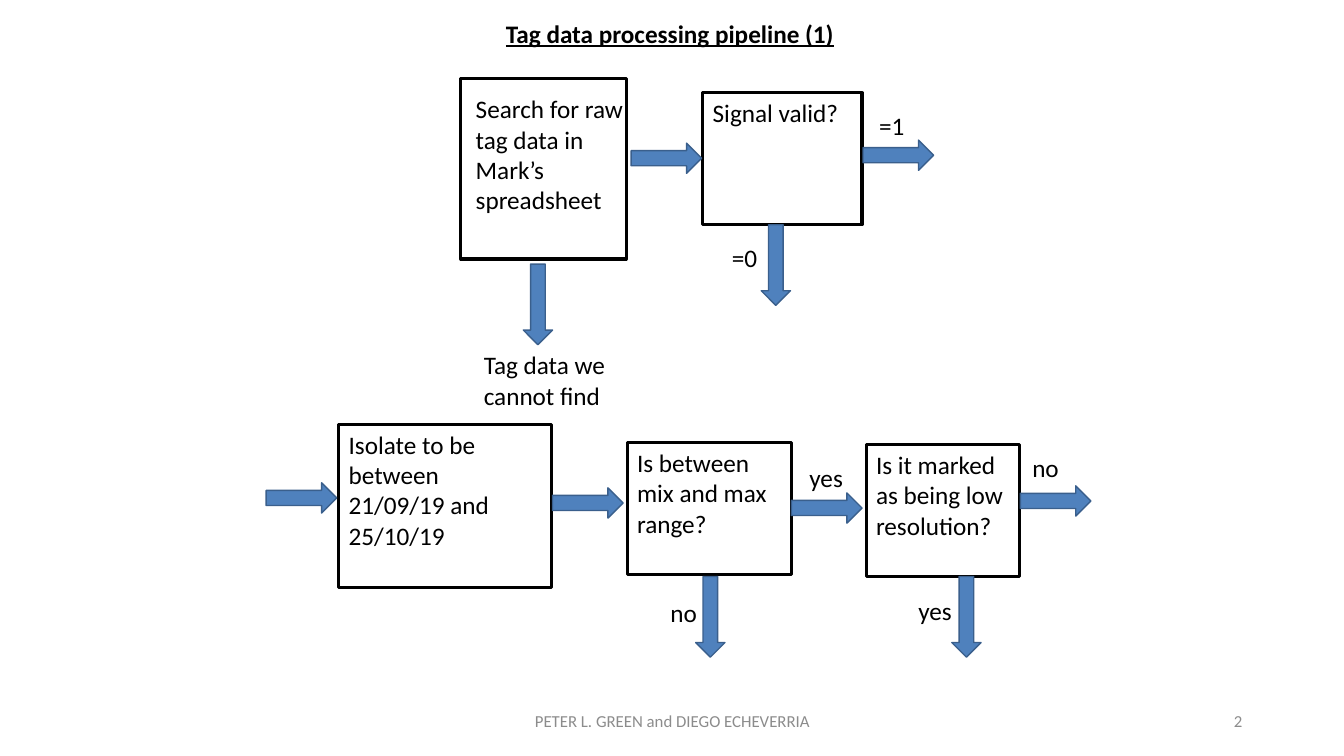
from pptx import Presentation
from pptx.dml.color import RGBColor
from pptx.enum.shapes import MSO_SHAPE
from pptx.enum.text import MSO_ANCHOR, PP_ALIGN
from pptx.util import Inches, Pt

COLORS = {"black": "000000", "arrow": "4F81BD", "arrow_line": "3A5F8C", "footer": "8C8C8C"}

BOXES = [
    ("", 4.57, 0.78, 1.64, 1.79),
    ("Signal valid?", 6.97, 0.92, 1.58, 1.31),
    ("Isolate to be between\v21/09/19 and 25/10/19", 3.36, 4.21, 2.11, 1.62),
    ("Is between mix and max range?", 6.22, 4.39, 1.63, 1.31),
    ("Is it marked as being low resolution?", 8.59, 4.41, 1.52, 1.31),
]
RIGHT_ARROWS = [(6.26, 1.42), (8.56, 1.39), (2.64, 4.79), (5.48, 4.84), (7.85, 4.89), (10.12, 4.82)]
DOWN_ARROWS = [(5.19, 2.62), (7.55, 2.23), (6.9, 5.72), (9.44, 5.72)]
LABELS = [
    ("Search for raw tag data in Mark’s spreadsheet", 4.62, 0.88, 1.66, 1.62),
    ("Tag data we\vcannot find", 4.7, 3.42, 1.56, 0.71),
    ("=1", 8.62, 1.05, 0.66, 0.4),
    ("=0", 7.16, 2.35, 0.54, 0.4),
    ("yes", 7.93, 4.54, 0.66, 0.4),
    ("no", 6.55, 5.88, 0.54, 0.4),
    ("no", 10.14, 4.44, 0.66, 0.4),
    ("yes", 9.01, 5.86, 0.54, 0.4),
]


def rgb(name):
    return RGBColor.from_string(COLORS[name])


def write(shape, text, size=18, color="black", align=PP_ALIGN.LEFT, anchor=MSO_ANCHOR.TOP):
    tf = shape.text_frame
    tf.word_wrap = True
    tf.vertical_anchor = anchor
    tf.text = text
    p = tf.paragraphs[0]
    p.alignment = align
    p.font.name = "Calibri"
    p.font.size = Pt(size)
    p.font.color.rgb = rgb(color)
    return p


def add_title(s, text, left, top, width, height):
    title = s.shapes.title
    title.left, title.top = Inches(left), Inches(top)
    title.width, title.height = Inches(width), Inches(height)
    p = write(title, text, align=PP_ALIGN.CENTER)
    p.font.bold = True
    p.font.underline = True


def add_shape(s, kind, left, top, width, height, line, weight):
    sp = s.shapes.add_shape(kind, Inches(left), Inches(top), Inches(width), Inches(height))
    sp.shadow.inherit = False
    sp.line.color.rgb = rgb(line)
    sp.line.width = Pt(weight)
    return sp


def add_box(s, text, left, top, width, height):
    sp = add_shape(s, MSO_SHAPE.RECTANGLE, left, top, width, height, "black", 2.25)
    sp.fill.background()
    if text:
        write(sp, text)


def add_arrow(s, kind, left, top, width, height):
    sp = add_shape(s, kind, left, top, width, height, "arrow_line", 1)
    sp.fill.solid()
    sp.fill.fore_color.rgb = rgb("arrow")


def add_label(s, text, left, top, width, height, **style):
    sp = s.shapes.add_textbox(Inches(left), Inches(top), Inches(width), Inches(height))
    write(sp, text, **style)


def main():
    prs = Presentation()
    prs.slide_width, prs.slide_height = Inches(13.33), Inches(7.5)
    s = prs.slides.add_slide(prs.slide_layouts[5])
    add_title(s, "Tag data processing pipeline (1)", 2, 0.13, 9.29, 0.41)
    for box in BOXES:
        add_box(s, *box)
    for left, top in RIGHT_ARROWS:
        add_arrow(s, MSO_SHAPE.RIGHT_ARROW, left, top, 0.7, 0.3)
    for left, top in DOWN_ARROWS:
        add_arrow(s, MSO_SHAPE.DOWN_ARROW, left, top, 0.29, 0.8)
    for label in LABELS:
        add_label(s, *label)
    footer = {"size": 12, "color": "footer", "anchor": MSO_ANCHOR.MIDDLE}
    add_label(s, "PETER L. GREEN and DIEGO ECHEVERRIA", 4.42, 6.95, 4.5, 0.4,
              align=PP_ALIGN.CENTER, **footer)
    add_label(s, "2", 9.42, 6.95, 3, 0.4, align=PP_ALIGN.RIGHT, **footer)
    prs.save("out.pptx")


if __name__ == "__main__":
    main()
